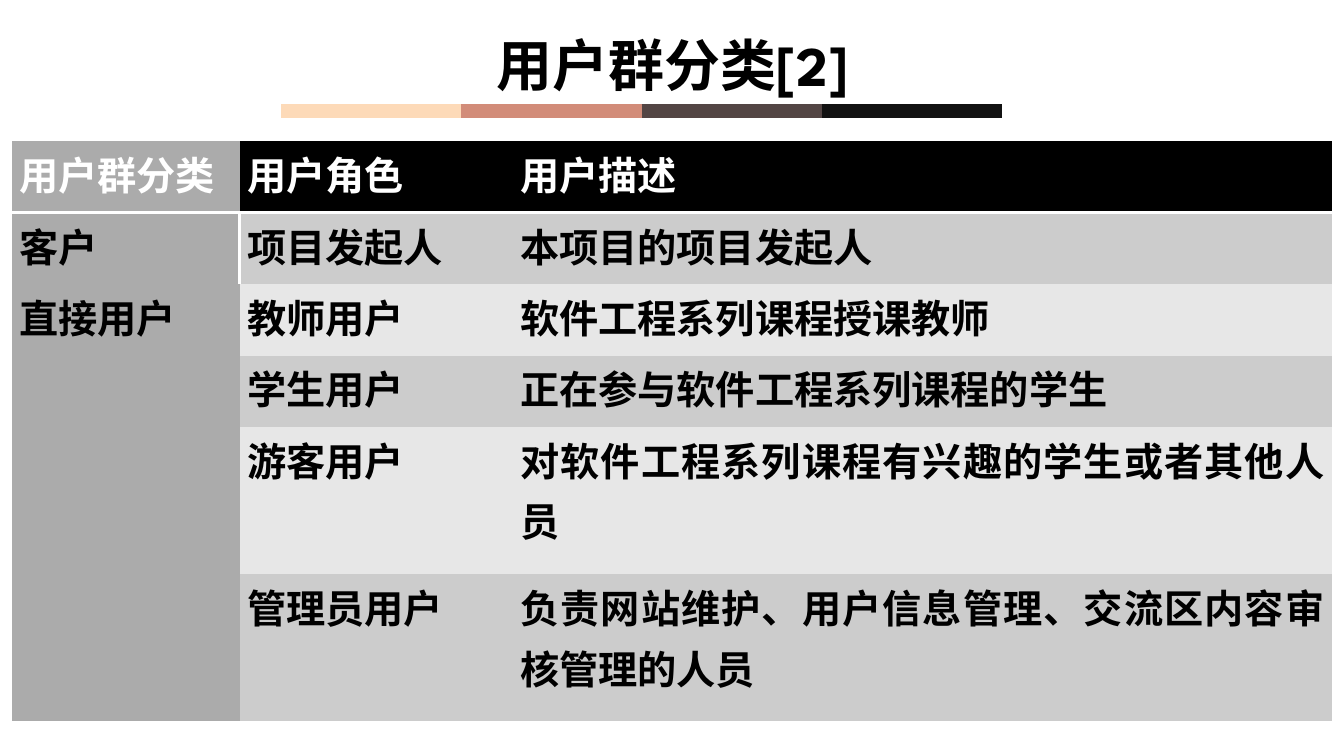
from dataclasses import dataclass

from lxml.etree import SubElement
from pptx import Presentation
from pptx.dml.color import RGBColor
from pptx.enum.shapes import MSO_CONNECTOR
from pptx.enum.text import MSO_ANCHOR, PP_ALIGN
from pptx.oxml import parse_xml
from pptx.oxml.ns import nsdecls, qn
from pptx.slide import Slide
from pptx.table import _Cell
from pptx.text.text import TextFrame
from pptx.util import Cm, Pt

BLACK = RGBColor(0x00, 0x00, 0x00)
WHITE = RGBColor(0xFF, 0xFF, 0xFF)
DARK = RGBColor(0xAB, 0xAB, 0xAB)
MID = RGBColor(0xCC, 0xCC, 0xCC)
LIGHT = RGBColor(0xE7, 0xE7, 0xE7)
PEACH = RGBColor(0xFD, 0xDA, 0xB8)
ROSE = RGBColor(0xD2, 0x8C, 0x79)
BROWN = RGBColor(0x53, 0x45, 0x44)
INK = RGBColor(0x12, 0x12, 0x12)

BARS = (PEACH, ROSE, BROWN, INK)
BAR_LEFT, BAR_TOP, BAR_STEP = 7.09, 2.79, 4.54
WIDTHS = (5.74, 6.88, 20.65)
PLAIN = "{2D5ABB26-0587-4C30-8999-92F81FD0307C}"

TITLE_FONT = {"name": "League Spartan", "size": Pt(40), "bold": True}
CELL_FONT = {"name": "Calibri", "size": Pt(28), "bold": True}
TITLE_PARA = {"line_spacing": 0.9}
CELL_PARA = {"line_spacing": 1.07, "alignment": PP_ALIGN.JUSTIFY}
CELL_BOX = {
    "margin_left": Cm(0.19),
    "margin_right": Cm(0.19),
    "margin_top": 0,
    "margin_bottom": 0,
    "vertical_anchor": MSO_ANCHOR.TOP,
}
TABLE_FLAGS = {"first_row": False, "horz_banding": False}


@dataclass
class Row:
    group: str
    role: str
    note: str
    height: float = 1.8


ROWS = (
    Row("用户群分类", "用户角色", "用户描述"),
    Row("客户", "项目发起人", "本项目的项目发起人"),
    Row("直接用户", "教师用户", "软件工程系列课程授课教师"),
    Row("", "学生用户", "正在参与软件工程系列课程的学生"),
    Row("", "游客用户", "对软件工程系列课程有兴趣的学生或者其他人员", 3.71),
    Row("", "管理员用户", "负责网站维护、用户信息管理、交流区内容审核管理的人员", 3.71),
)


def apply(target: object, values: dict) -> None:
    for name, value in values.items():
        setattr(target, name, value)


def write(frame: TextFrame, text: str, para: dict, font: dict, color: RGBColor) -> None:
    line = frame.paragraphs[0]
    apply(line, para)
    run = line.add_run()
    run.text = text
    apply(run.font, font)
    run.font.color.rgb = color


def edge(cell: _Cell, side: str) -> None:
    props = cell._tc.get_or_add_tcPr()
    props.insert(0, parse_xml(
        f'<a:{side} {nsdecls("a")} w="{Pt(2)}"><a:solidFill>'
        f'<a:srgbClr val="{WHITE}"/></a:solidFill></a:{side}>'
    ))


def draw_bars(slide: Slide) -> None:
    for index, color in enumerate(BARS):
        left = BAR_LEFT + index * BAR_STEP
        bar = slide.shapes.add_connector(
            MSO_CONNECTOR.STRAIGHT,
            Cm(left), Cm(BAR_TOP), Cm(left + BAR_STEP), Cm(BAR_TOP),
        )
        bar.line.color.rgb = color
        bar.line.width = Pt(10)
        SubElement(bar._element.spPr, qn("a:effectLst"))


def draw_title(slide: Slide) -> None:
    box = slide.shapes.add_textbox(Cm(12.27), Cm(0.84), Cm(12.12), Cm(1.02))
    box.text_frame.word_wrap = True
    write(box.text_frame, "用户群分类[2]", TITLE_PARA, TITLE_FONT, BLACK)


def draw_table(slide: Slide) -> None:
    high = sum(row.height for row in ROWS)
    frame = slide.shapes.add_table(
        len(ROWS), len(WIDTHS), Cm(0.3), Cm(3.56), Cm(sum(WIDTHS)), Cm(high)
    )
    table = frame.table
    apply(table, TABLE_FLAGS)
    frame._element.find(".//" + qn("a:tableStyleId")).text = PLAIN
    for column, width in zip(table.columns, WIDTHS):
        column.width = Cm(width)
    for top, row in enumerate(ROWS):
        table.rows[top].height = Cm(row.height)
        band = BLACK if top == 0 else MID if top % 2 else LIGHT
        for left, text in enumerate((row.group, row.role, row.note)):
            cell = table.cell(top, left)
            apply(cell, CELL_BOX)
            cell.fill.solid()
            cell.fill.fore_color.rgb = DARK if left == 0 else band
            if text:
                color = BLACK if top else WHITE
                write(cell.text_frame, text, CELL_PARA, CELL_FONT, color)
            if top == 0:
                edge(cell, "lnB")
    edge(table.cell(1, 0), "lnR")
    table.cell(2, 0).merge(table.cell(len(ROWS) - 1, 0))


def main() -> None:
    deck = Presentation()
    apply(deck, {"slide_width": Cm(33.87), "slide_height": Cm(19.05)})
    slide = deck.slides.add_slide(deck.slide_layouts[6])
    draw_bars(slide)
    draw_title(slide)
    draw_table(slide)
    deck.save("out.pptx")


if __name__ == "__main__":
    main()
